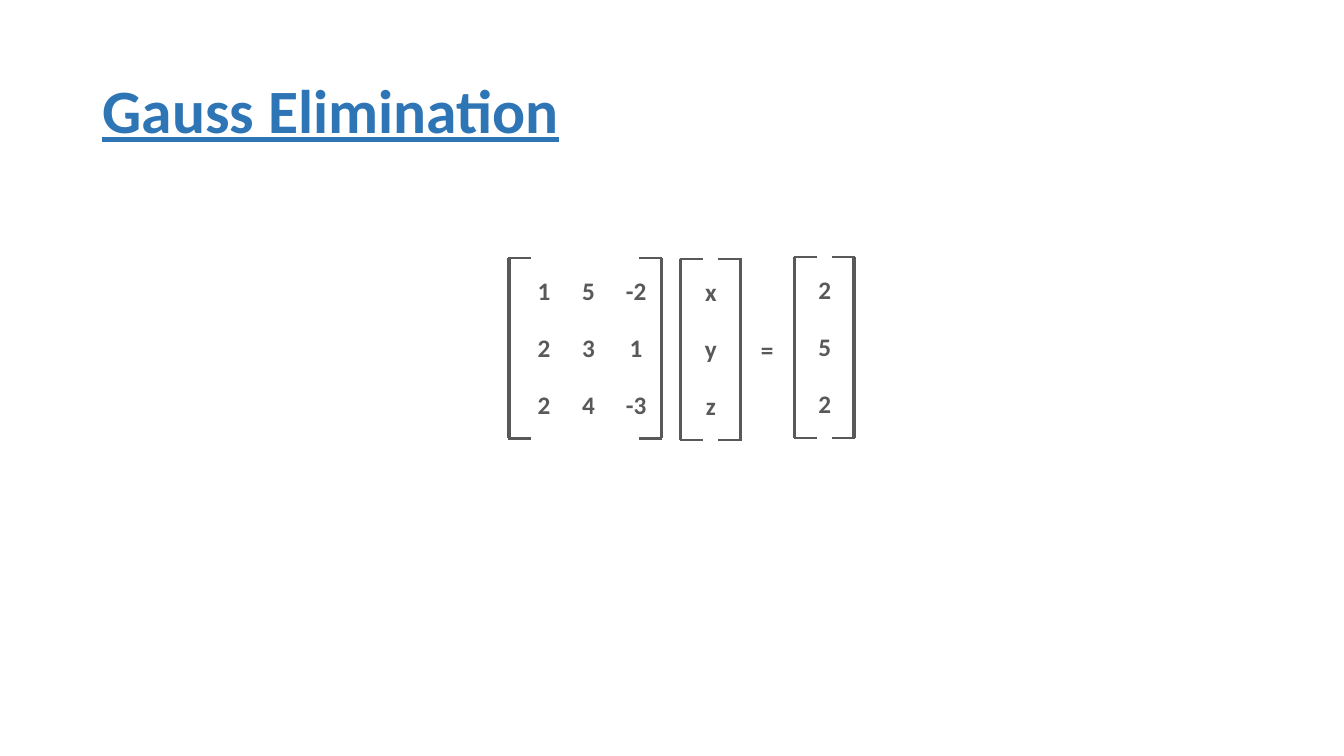
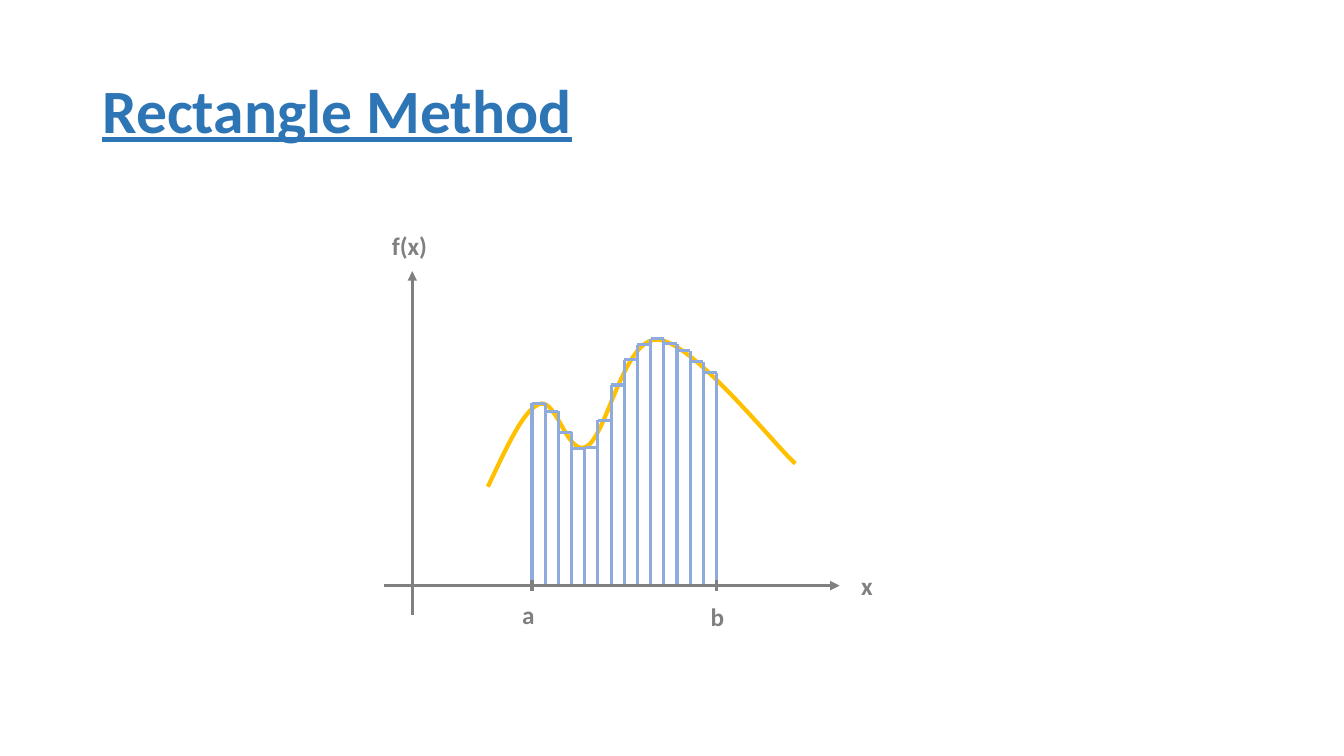
"""Build two slides on numerical methods: Gauss elimination and the rectangle method."""
from collections import namedtuple
from dataclasses import dataclass

from pptx import Presentation
from pptx.dml.color import RGBColor
from pptx.enum.text import MSO_ANCHOR, PP_ALIGN
from pptx.oxml.ns import qn
from pptx.util import Pt
from lxml import etree

LEFT, CENTER = PP_ALIGN.LEFT, PP_ALIGN.CENTER
TOP, MIDDLE = MSO_ANCHOR.TOP, MSO_ANCHOR.MIDDLE
TITLE_ONLY = 5

Box = namedtuple("Box", "left top width height")


@dataclass(frozen=True)
class Theme:
    """Hold the colours, type sizes and line weights of the slides."""
    font: str = "Calibri"
    title_color: str = "2E75B6"
    matrix_color: str = "595959"
    axis_color: str = "808080"
    curve_color: str = "FFC000"
    strip_color: str = "8FAADC"
    title_size: float = 44
    label_size: float = 18
    line_weight: float = 2.25
    serif_weight: float = 1.5
    curve_weight: float = 3


THEME = Theme()
SLIDE_SIZE = (960, 540)
TITLE_BOX = Box(66, 28.8, 828, 104.4)
LABEL_SIZE = (50, 29)
SERIF_LENGTH = 16
ROW_OFFSET, ROW_PITCH = 8.8, 40.7

MATRICES = (
    (Box(363.6, 184, 108.8, 129.2), {25: "122", 56.8: "534", 90.8: ("-2", "1", "-3")}),
    (Box(486, 184.8, 43.2, 129.2), {21.8: "xyz"}),
    (Box(567.4, 183.8, 42.6, 129.2), {21.8: "252"}),
)
EQUALS_AT = (547.9, 235.4)

PLOT_BOX = Box(274.3, 193.7, 325.4, 245.5)
AXIS_OFFSET, BASE_OFFSET = 20.2, 224.6
TICK_HALF = 4
STRIP_START, STRIP_WIDTH = 85.5, 9.42
STRIP_HEIGHTS = (130.3, 124.6, 109.4, 97.9, 98.6, 118.1, 143.3,
                 161.3, 172.1, 176.4, 172.8, 167.8, 159.8, 151.9)
CURVE_START = (54, 70.6)
CURVE_SEGMENTS = (
    ((67, 97.9), (79.2, 125.3), (90.7, 129.6)),
    ((103, 134.6), (110.9, 91.4), (124.6, 99.4)),
    ((139, 107.3), (151.2, 177.8), (175.7, 175.7)),
    ((200.9, 173.5), (257.8, 101.5), (273.6, 87.1)),
)
CURVE_STEPS = 20


def write_text(shape, text, size, color, alignment, anchor, **extra):
    """Fill a shape with one formatted paragraph."""
    frame = shape.text_frame
    frame.word_wrap = True
    frame.vertical_anchor = anchor
    paragraph = frame.paragraphs[0]
    paragraph.text = text
    paragraph.alignment = alignment
    font = paragraph.runs[0].font
    formats = {"name": THEME.font, "size": Pt(size), "bold": True, **extra}
    for name, value in formats.items():
        setattr(font, name, value)
    font.color.rgb = RGBColor.from_string(color)
    return paragraph


def add_titled_slide(presentation, title):
    """Add a title-only slide with the shared title style."""
    slide = presentation.slides.add_slide(presentation.slide_layouts[TITLE_ONLY])
    for name, value in TITLE_BOX._asdict().items():
        setattr(slide.shapes.title, name, Pt(value))
    paragraph = write_text(slide.shapes.title, title, THEME.title_size, THEME.title_color,
                           LEFT, MIDDLE, underline=True)
    paragraph.line_spacing = 0.9
    return slide


def add_label(slide, text, center, top, color):
    """Add a label centred on a horizontal position."""
    width, height = LABEL_SIZE
    shape = slide.shapes.add_textbox(Pt(center - width / 2), Pt(top), Pt(width), Pt(height))
    write_text(shape, text, THEME.label_size, color, CENTER, TOP)


def style_line(line, color, weight):
    """Set the colour and weight of a line."""
    line.color.rgb = RGBColor.from_string(color)
    line.width = Pt(weight)


def add_line(slide, start, end, color, weight=THEME.line_weight, arrow=False):
    """Add a straight line, with an arrowhead at its end if asked."""
    connector = slide.shapes.add_connector(1, *map(Pt, (*start, *end)))
    style_line(connector.line, color, weight)
    properties = connector.element.spPr
    if arrow:
        etree.SubElement(properties.find(qn("a:ln")), qn("a:tailEnd"), type="triangle")
    etree.SubElement(properties, qn("a:effectLst"))


def draw_matrix(slide, box, columns):
    """Draw a bracketed matrix whose columns are keyed by their centre in the box."""
    color = THEME.matrix_color
    bottom = box.top + box.height
    for side, direction in ((box.left, 1), (box.left + box.width, -1)):
        add_line(slide, (side, box.top), (side, bottom), color)
        for level in (box.top, bottom):
            outer = side - direction * THEME.line_weight / 4
            add_line(slide, (outer, level), (side + direction * SERIF_LENGTH, level),
                     color, THEME.serif_weight)
    for center, entries in columns.items():
        for row, entry in enumerate(entries):
            add_label(slide, entry, box.left + center,
                      box.top + ROW_OFFSET + row * ROW_PITCH, color)


def curve_points():
    """Return points along the joined cubic curves."""
    points = [CURVE_START]
    for first, second, end in CURVE_SEGMENTS:
        start = points[-1]
        for step in range(1, CURVE_STEPS + 1):
            t = step / CURVE_STEPS
            weights = ((1 - t) ** 3, 3 * t * (1 - t) ** 2, 3 * t * t * (1 - t), t ** 3)
            points.append(tuple(
                sum(weight * value for weight, value in zip(weights, values))
                for values in zip(start, first, second, end)))
    return points


def draw_curve(slide, place):
    """Draw the function as a smooth open outline."""
    points = [tuple(map(Pt, place(*point))) for point in curve_points()]
    builder = slide.shapes.build_freeform(*points[0])
    builder.add_line_segments(points[1:], close=False)
    curve = builder.convert_to_shape()
    curve.shadow.inherit = False
    curve.fill.background()
    style_line(curve.line, THEME.curve_color, THEME.curve_weight)


def draw_strips(slide, place):
    """Draw the rectangles below the curve, sharing their upright edges."""
    edges = [STRIP_START + index * STRIP_WIDTH for index in range(len(STRIP_HEIGHTS) + 1)]
    for edge, before, after in zip(edges, (0, *STRIP_HEIGHTS), (*STRIP_HEIGHTS, 0)):
        add_line(slide, place(edge, 0), place(edge, max(before, after)), THEME.strip_color)
    for left, right, height in zip(edges, edges[1:], STRIP_HEIGHTS):
        add_line(slide, place(left, height), place(right, height), THEME.strip_color)
    return edges[0], edges[-1]


def draw_plot(slide, box):
    """Draw axes, curve, rectangles and labels within a box."""
    color = THEME.axis_color
    axis, base = box.left + AXIS_OFFSET, box.top + BASE_OFFSET
    right = box.left + box.width

    def place(x, height):
        """Turn plot coordinates into slide points."""
        return axis + x, base - height

    add_line(slide, (axis, box.top + box.height), (axis, box.top), color, arrow=True)
    draw_curve(slide, place)
    limits = draw_strips(slide, place)
    add_line(slide, (box.left, base), (right, base), color, arrow=True)
    for limit in limits:
        add_line(slide, place(limit, TICK_HALF), place(limit, -TICK_HALF), color)
    labels = (
        ("f(x)", axis - 2, box.top - 33.1),
        ("x", right + 19.6, base - 14.4),
        ("a", axis + limits[0] - 2.5, base + 6.5),
        ("b", axis + limits[1] + 0.5, base + 7.9),
    )
    for label in labels:
        add_label(slide, *label, color)


def main():
    """Build and save the presentation."""
    presentation = Presentation()
    presentation.slide_width, presentation.slide_height = map(Pt, SLIDE_SIZE)
    slide = add_titled_slide(presentation, "Gauss Elimination")
    for box, columns in MATRICES:
        draw_matrix(slide, box, columns)
    add_label(slide, "=", *EQUALS_AT, THEME.matrix_color)
    slide = add_titled_slide(presentation, "Rectangle Method")
    draw_plot(slide, PLOT_BOX)
    presentation.save("out.pptx")


if __name__ == "__main__":
    main()
